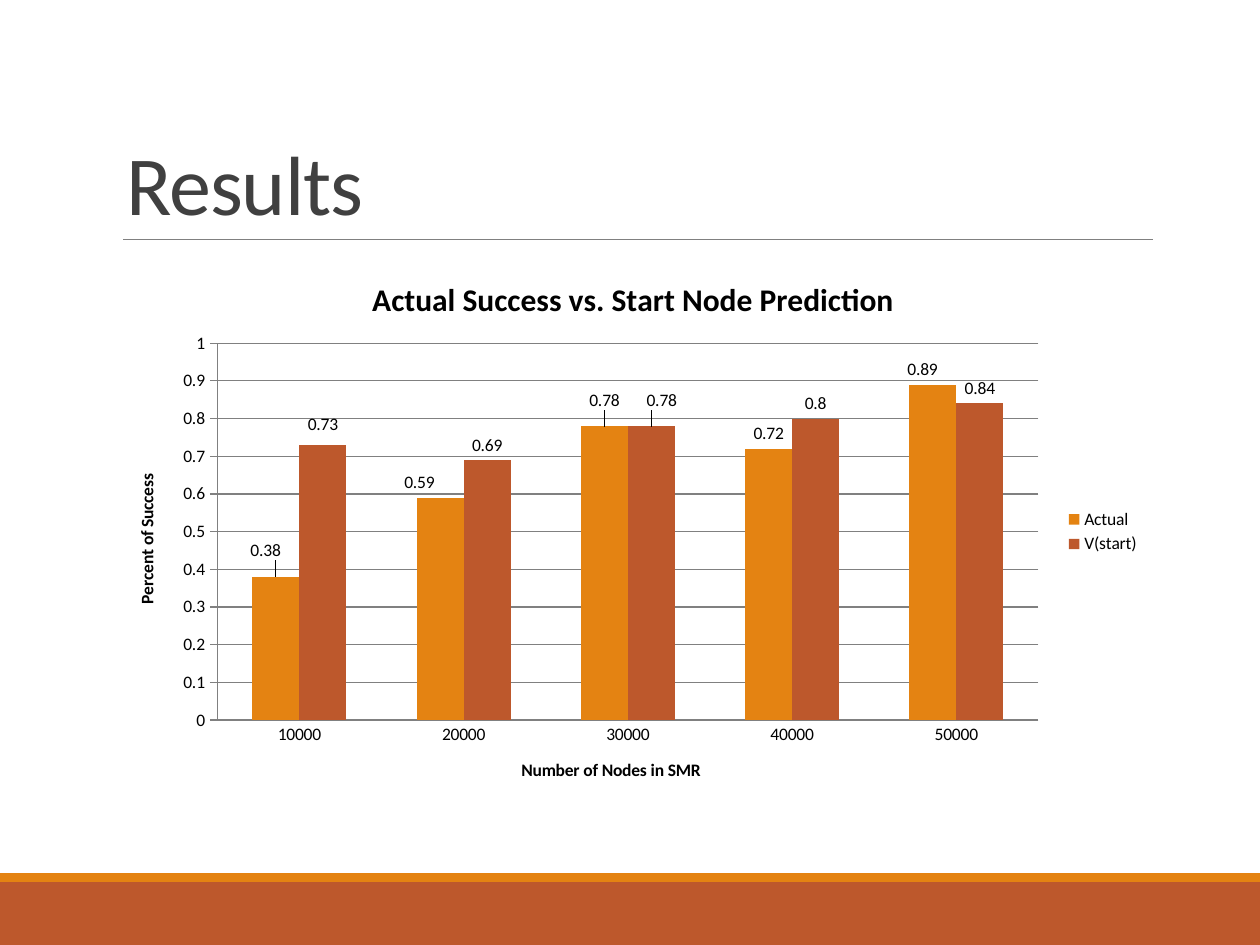
from dataclasses import dataclass

import lxml.etree
import pptx
import pptx.chart.axis
import pptx.chart.data
import pptx.chart.series
import pptx.dml.color
import pptx.enum.chart
import pptx.enum.shapes
import pptx.enum.text
import pptx.oxml.ns
import pptx.slide
import pptx.util

ORANGE = pptx.dml.color.RGBColor(0xE4, 0x83, 0x12)
RUST = pptx.dml.color.RGBColor(0xBD, 0x58, 0x2C)
GRAY = pptx.dml.color.RGBColor(0x80, 0x80, 0x80)
DARK_GRAY = pptx.dml.color.RGBColor(0x40, 0x40, 0x40)
BLACK = pptx.dml.color.RGBColor(0, 0, 0)
FONT = "Calibri"
WIDTH = pptx.util.Inches(10)
HEIGHT = pptx.util.Inches(7.5)
LEFT = 0.09
CONTENT_WIDTH = 0.825
CATEGORIES = ("10000", "20000", "30000", "40000", "50000")


@dataclass(frozen=True)
class Band:
    top: float
    height: float
    color: pptx.dml.color.RGBColor


@dataclass(frozen=True)
class SuccessSeries:
    name: str
    values: tuple[float, ...]
    label_shifts: tuple[tuple[float, float], ...]
    color: pptx.dml.color.RGBColor


BANDS = (Band(7 / 7.5, 0.5 / 7.5, RUST), Band(6.93 / 7.5, 0.07 / 7.5, ORANGE))
SERIES = (
    SuccessSeries(
        "Actual",
        (0.38, 0.59, 0.78, 0.72, 0.89),
        ((-0.01, -0.02), (-0.02, 0), (0, -0.02), (0, 0), (-0.01, 0)),
        ORANGE,
    ),
    SuccessSeries(
        "V(start)",
        (0.73, 0.69, 0.78, 0.8, 0.84),
        ((0, -0.01), (0, 0), (0.01, -0.02), (0, 0), (0, 0)),
        RUST,
    ),
)


def across(share: float) -> int:
    return round(WIDTH * share)


def down(share: float) -> int:
    return round(HEIGHT * share)


def draw_band(slide: pptx.slide.Slide, band: Band) -> None:
    shape = slide.shapes.add_shape(
        pptx.enum.shapes.MSO_SHAPE.RECTANGLE, 0, down(band.top), WIDTH, down(band.height)
    )
    shape.shadow.inherit = False
    shape.fill.solid()
    shape.fill.fore_color.rgb = band.color
    shape.line.fill.background()


def draw_rule(slide: pptx.slide.Slide) -> None:
    height = down(1.9 / 7.5)
    rule = slide.shapes.add_connector(
        pptx.enum.shapes.MSO_CONNECTOR.STRAIGHT, across(0.098), height, across(0.915), height
    )
    rule.line.color.rgb = GRAY
    rule.line.width = pptx.util.Pt(0.5)
    lxml.etree.SubElement(rule._element.spPr, pptx.oxml.ns.qn("a:effectLst"))


def draw_title(slide: pptx.slide.Slide) -> None:
    title = slide.shapes.title
    title.left, title.top = across(LEFT), down(0.31 / 7.5)
    title.width, title.height = across(CONTENT_WIDTH), down(1.59 / 7.5)
    title.text_frame.vertical_anchor = pptx.enum.text.MSO_ANCHOR.BOTTOM
    paragraph = title.text_frame.paragraphs[0]
    paragraph.alignment = pptx.enum.text.PP_ALIGN.LEFT
    paragraph.line_spacing = 0.85
    run = paragraph.add_run()
    run.text = "Results"
    run.font.name = FONT
    run.font.size = pptx.util.Pt(48)
    run.font.color.rgb = DARK_GRAY
    run._r.get_or_add_rPr().set("spc", "-50")


def write_heading(text_frame, text: str, size: float) -> None:
    run = text_frame.paragraphs[0].add_run()
    run.text = text
    run.font.name = FONT
    run.font.size = pptx.util.Pt(size)
    run.font.bold = True
    run.font.color.rgb = BLACK


def make_layout(**settings: str | float):
    layout = lxml.etree.Element(pptx.oxml.ns.qn("c:layout"))
    manual = lxml.etree.SubElement(layout, pptx.oxml.ns.qn("c:manualLayout"))
    for name, value in settings.items():
        lxml.etree.SubElement(manual, pptx.oxml.ns.qn(f"c:{name}")).set("val", str(value))
    return layout


def format_axis(axis: pptx.chart.axis._BaseAxis, title: str, tick: int) -> None:
    write_heading(axis.axis_title.text_frame, title, 10)
    axis.major_tick_mark = tick
    axis.minor_tick_mark = pptx.enum.chart.XL_TICK_MARK.NONE
    axis.format.line.color.rgb = GRAY


def format_series(series: pptx.chart.series.BarSeries, details: SuccessSeries) -> None:
    series.format.fill.solid()
    series.format.fill.fore_color.rgb = details.color
    series.data_labels.show_value = True
    above = pptx.enum.chart.XL_LABEL_POSITION.OUTSIDE_END
    series.data_labels.position = above
    for index in range(len(details.values)):
        series.points[index].data_label.position = above
    labels = series._element.xpath("c:dLbls/c:dLbl")
    for label, (x, y) in zip(labels, details.label_shifts):
        if x or y:
            label.insert(1, make_layout(x=x, y=y))


def draw_chart(slide: pptx.slide.Slide) -> None:
    data = pptx.chart.data.CategoryChartData()
    data.categories = CATEGORIES
    for details in SERIES:
        data.add_series(details.name, details.values)
    chart = slide.shapes.add_chart(
        pptx.enum.chart.XL_CHART_TYPE.COLUMN_CLUSTERED,
        across(LEFT),
        down(2.02 / 7.5),
        across(CONTENT_WIDTH),
        down(4.4 / 7.5),
        data,
    ).chart
    chart.font.name = FONT
    chart.font.size = pptx.util.Pt(10)
    chart.font.color.rgb = BLACK
    write_heading(chart.chart_title.text_frame, "Actual Success vs. Start Node Prediction", 18)
    chart.chart_title.include_in_layout = False
    chart.has_legend = True
    chart.legend.position = pptx.enum.chart.XL_LEGEND_POSITION.RIGHT
    chart.legend.include_in_layout = False

    ticks = pptx.enum.chart.XL_TICK_MARK
    format_axis(chart.category_axis, "Number of Nodes in SMR", ticks.NONE)
    format_axis(chart.value_axis, "Percent of Success", ticks.OUTSIDE)
    chart.value_axis.minimum_scale = 0
    chart.value_axis.maximum_scale = 1
    chart.value_axis.major_unit = 0.1
    chart.value_axis.major_gridlines.format.line.color.rgb = GRAY

    plot = chart.plots[0]
    plot.gap_width = 150
    plot.overlap = 0
    plot.vary_by_categories = False
    for series, details in zip(plot.series, SERIES):
        format_series(series, details)

    plot_area = chart._chartSpace.chart.plotArea
    for layout in plot_area.xpath("c:layout"):
        plot_area.remove(layout)
    plot_area.insert(
        0,
        make_layout(
            layoutTarget="inner", xMode="edge", yMode="edge", x=0.1, y=0.16, w=0.79, h=0.68
        ),
    )


def main() -> None:
    presentation = pptx.Presentation()
    presentation.slide_width = WIDTH
    presentation.slide_height = HEIGHT
    slide = presentation.slides.add_slide(presentation.slide_layouts.get_by_name("Title Only"))
    for band in BANDS:
        draw_band(slide, band)
    draw_rule(slide)
    draw_title(slide)
    draw_chart(slide)
    presentation.save("out.pptx")


if __name__ == "__main__":
    main()
